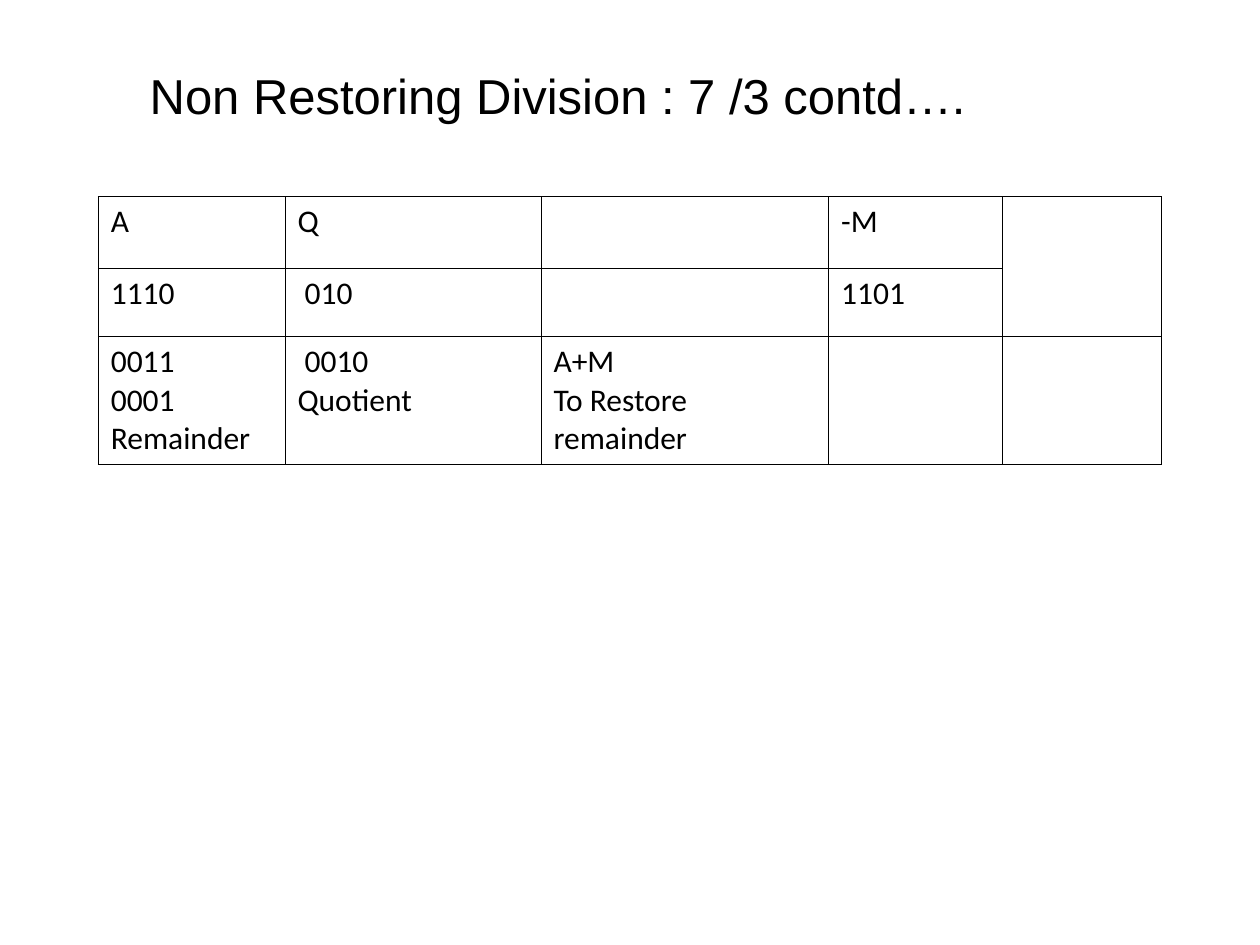
from pptx import Presentation
from pptx.dml.color import RGBColor as Rgb
from pptx.enum.text import MSO_AUTO_SIZE as AutoSize
from pptx.oxml import parse_xml
from pptx.oxml.ns import nsdecls
from pptx.util import Inches, Pt

COLORS = {"ink": "000000", "paper": "FFFFFF"}
SLIDE_W, SLIDE_H = 10, 7.5
TITLE_BOX = (1.09, 0.47, 7.66, 0.57)
STEPS_BOX = (0.78, 1.56, 8.44, 2.11)
COLUMN_WIDTHS = (1.48, 2.03, 2.28, 1.38, 1.26)
ROW_HEIGHTS = (0.57, 0.54, 1)
STEPS = (
    ("A", "Q", "", "-M", ""),
    ("1110", " 010", "", "1101", ""),
    ("0011\n0001\nRemainder", " 0010\nQuotient", "A+M\nTo Restore remainder", "", ""),
)


def write(frame, text, font="Calibri", size=18, color="ink"):
    """Fill a text frame, one paragraph per line of text."""
    frame.word_wrap = True
    frame.text = text
    for paragraph in frame.paragraphs:
        paragraph.font.size = Pt(size)
        for run in paragraph.runs:
            run.font.name = font
            run.font.size = Pt(size)
            run.font.color.rgb = Rgb.from_string(COLORS[color])


def rule_cell(cell, width=0.45, color="ink"):
    """Draw the four borders of a cell and give it a plain fill."""
    cell.fill.solid()
    cell.fill.fore_color.rgb = Rgb.from_string(COLORS["paper"])
    properties = cell._tc.get_or_add_tcPr()
    for index, side in enumerate("LRTB"):
        properties.insert(index, parse_xml(
            f'<a:ln{side} {nsdecls("a")} w="{Pt(width)}"><a:solidFill>'
            f'<a:srgbClr val="{COLORS[color]}"/></a:solidFill></a:ln{side}>'))


def add_title(slide, box, text):
    """Place the heading in its box."""
    heading = slide.shapes.add_textbox(*map(Inches, box)).text_frame
    write(heading, text, font="Arial", size=28)
    heading.auto_size = AutoSize.SHAPE_TO_FIT_TEXT


def add_steps(slide, box, steps):
    """Place the division steps, scaling the columns and rows to the box."""
    left, top, width, height = box
    grid = slide.shapes.add_table(
        len(steps), len(steps[0]), *map(Inches, box)).table
    grid.first_row = grid.horz_banding = False
    for column, share in zip(grid.columns, COLUMN_WIDTHS):
        column.width = Inches(width * share / sum(COLUMN_WIDTHS))
    for row, share, entries in zip(grid.rows, ROW_HEIGHTS, steps):
        row.height = Inches(height * share / sum(ROW_HEIGHTS))
        for cell, entry in zip(row.cells, entries):
            write(cell.text_frame, entry)
            rule_cell(cell)
    grid.cell(0, 4).merge(grid.cell(1, 4))


deck = Presentation()
deck.slide_width, deck.slide_height = Inches(SLIDE_W), Inches(SLIDE_H)
division = deck.slides.add_slide(deck.slide_layouts[6])
add_steps(division, STEPS_BOX, STEPS)
add_title(division, TITLE_BOX, "Non Restoring Division : 7 /3 contd….")
deck.save("out.pptx")
